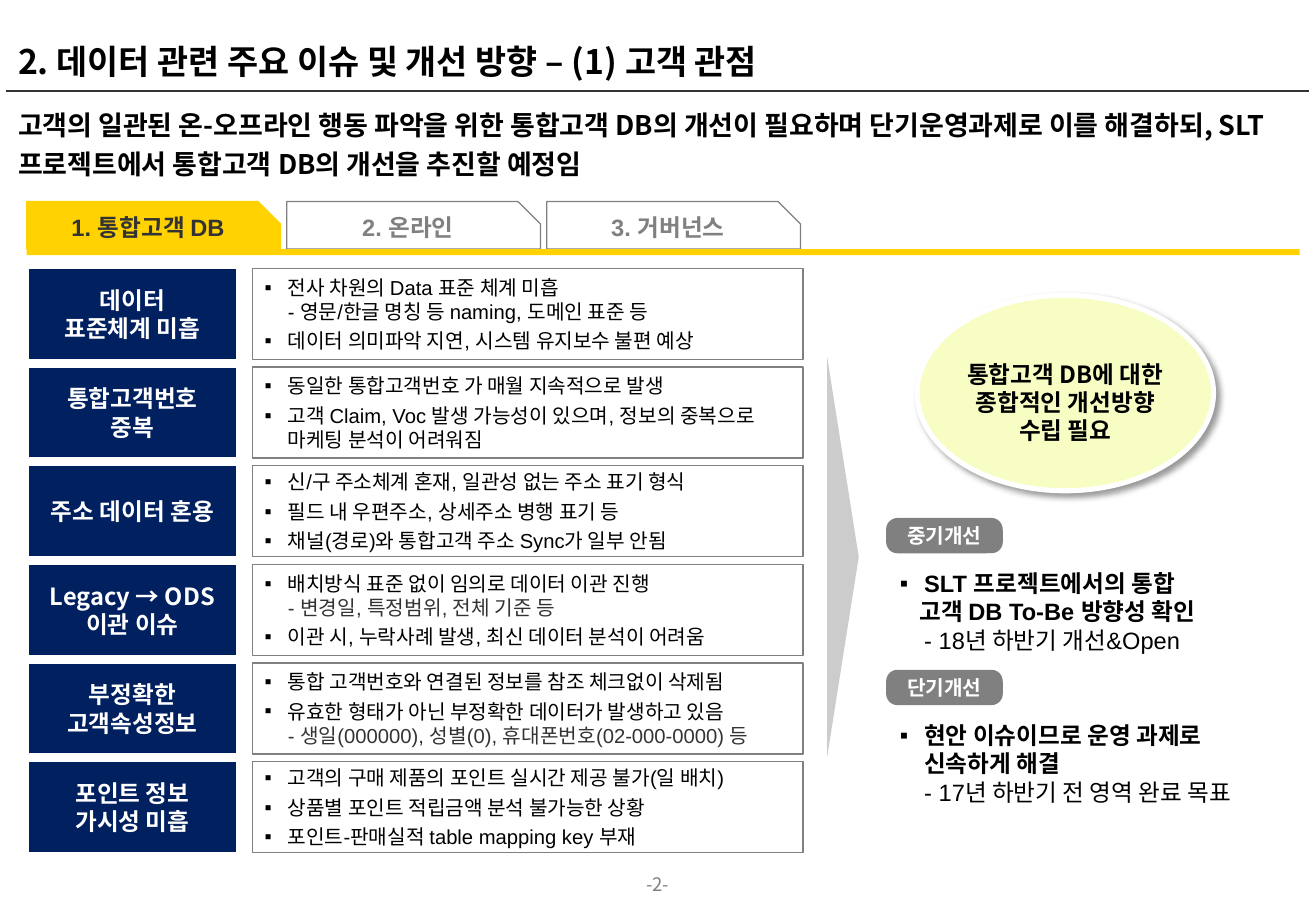
from copy import deepcopy

from lxml.etree import SubElement
from pptx import Presentation
from pptx.dml.color import RGBColor
from pptx.enum.shapes import MSO_CONNECTOR, MSO_SHAPE
from pptx.enum.text import MSO_ANCHOR, PP_ALIGN
from pptx.oxml.ns import qn
from pptx.util import Pt

SANS = "Noto Sans CJK KR"
LATIN = "Arial"
BLACK, DARK, GREY, WHITE = "000000", "333333", "808080", "FFFFFF"
YELLOW, NAVY = "FFD200", "002060"

TABS = [("1. 통합고객 DB", YELLOW, YELLOW, DARK),
        ("2. 온라인", WHITE, GREY, GREY),
        ("3. 거버넌스", WHITE, GREY, GREY)]

ISSUES = [
    (["데이터", "표준체계 미흡"], BLACK,
     ["전사 차원의 Data 표준 체계 미흡\v- 영문/한글 명칭 등 naming, 도메인 표준 등",
      "데이터 의미파악 지연, 시스템 유지보수 불편 예상"]),
    (["통합고객번호", "중복"], BLACK,
     ["동일한 통합고객번호 가 매월 지속적으로 발생",
      "고객 Claim, Voc 발생 가능성이 있으며, 정보의 중복으로 마케팅 분석이 어려워짐"]),
    (["주소 데이터 혼용"], BLACK,
     ["신/구 주소체계 혼재, 일관성 없는 주소 표기 형식",
      "필드 내 우편주소, 상세주소 병행 표기 등",
      "채널(경로)와 통합고객 주소 Sync가 일부 안됨"]),
    (["Legacy → ODS", "이관 이슈"], DARK,
     ["배치방식 표준 없이 임의로 데이터 이관 진행\v- 변경일, 특정범위, 전체 기준 등",
      "이관 시, 누락사례 발생, 최신 데이터 분석이 어려움"]),
    (["부정확한 고객속성정보"], DARK,
     ["통합 고객번호와 연결된 정보를 참조 체크없이 삭제됨",
      "유효한 형태가 아닌 부정확한 데이터가 발생하고 있음\v"
      "- 생일(000000), 성별(0), 휴대폰번호(02-000-0000) 등"]),
    (["포인트 정보", "가시성 미흡"], BLACK,
     ["고객의 구매 제품의 포인트 실시간 제공 불가(일 배치)",
      "상품별 포인트 적립금액 분석 불가능한 상황",
      "포인트-판매실적 table mapping key 부재"]),
]

PLANS = [
    ("중기개선", [("SLT 프로젝트에서의 통합", 14.4, True, True),
               ("고객 DB To-Be 방향성 확인", 11.5, False, True),
               ("- 18년 하반기 개선&Open", 14.4, False, False)]),
    ("단기개선", [("현안 이슈이므로 운영 과제로 신속하게 해결", 14.4, True, True),
               ("- 17년 하반기 전 영역 완료 목표", 14.4, False, False)]),
]


def colour(value):
    return RGBColor.from_string(value)


def add_box(page, kind, box, fill, line=None, width=0.75, adjust=()):
    shape = page.shapes.add_shape(kind, *map(Pt, box))
    shape.shadow.inherit = False
    shape.fill.solid()
    shape.fill.fore_color.rgb = colour(fill)
    if line:
        shape.line.color.rgb = colour(line)
        shape.line.width = Pt(width)
    else:
        shape.line.fill.background()
    for index, value in enumerate(adjust):
        shape.adjustments[index] = value
    return shape


def set_indent(para, left, bullet):
    properties = para._p.get_or_add_pPr()
    properties.set("marL", str(Pt(left)))
    properties.set("indent", str(-Pt(left) if bullet else 0))
    if bullet:
        SubElement(properties, qn("a:buFont")).set("typeface", LATIN)
        SubElement(properties, qn("a:buChar")).set("char", "▪")


def style_para(para, size, font, tint, bold=False, sub_tint=None):
    for index, span in enumerate(para.runs):
        span.font.size = Pt(size)
        span.font.name = font
        span.font.bold = bold
        span.font.color.rgb = colour(sub_tint if index and sub_tint else tint)
        SubElement(span._r.get_or_add_rPr(), qn("a:ea")).set("typeface", SANS)
    for gap in para._p.findall(qn("a:br")):
        gap.insert(0, deepcopy(para.runs[0]._r.rPr))


def write(shape, lines, size, font, tint, bold=False, align=PP_ALIGN.LEFT,
          anchor=MSO_ANCHOR.MIDDLE, insets=(7.2, 3.6, 7.2, 3.6), sub_tint=None):
    frame = shape.text_frame
    frame.word_wrap = True
    frame.vertical_anchor = anchor
    (frame.margin_left, frame.margin_top,
     frame.margin_right, frame.margin_bottom) = map(Pt, insets)
    frame.text = "\n".join(lines)
    for para in frame.paragraphs:
        para.alignment = align
        style_para(para, size, font, tint, bold, sub_tint)
    return frame.paragraphs


def add_text(page, box, *args, **options):
    return write(page.shapes.add_textbox(*map(Pt, box)), *args, **options)


def add_header(page, left, top, width):
    rule = page.shapes.add_connector(MSO_CONNECTOR.STRAIGHT, Pt(left), Pt(top + 50.4),
                                     Pt(left + width), Pt(top + 50.4))
    rule.line.color.rgb = colour(DARK)
    rule.line.width = Pt(1)
    SubElement(rule._element.spPr, qn("a:effectLst"))
    title = add_text(page, (left, top, width, 48.2),
                     ["2. 데이터 관련 주요 이슈 및 개선 방향 – (1) 고객 관점"],
                     20, SANS, BLACK, True, anchor=MSO_ANCHOR.BOTTOM)
    title[0].line_spacing = 0.85
    message = add_text(page, (left, top + 53.3, width, 40.3),
                       ["고객의 일관된 온-오프라인 행동 파악을 위한 통합고객 DB의 개선이 필요하며 "
                        "단기운영과제로 이를 해결하되, SLT 프로젝트에서 통합고객 DB의 개선을 추진할 예정임"],
                       16, SANS, BLACK, True, anchor=MSO_ANCHOR.TOP)
    message[0].line_spacing = 1.2


def add_tabs(page, left, top, width):
    for index, (label, fill, line, tint) in enumerate(TABS):
        tab = add_box(page, MSO_SHAPE.SNIP_1_RECTANGLE,
                      (left + index * 154.1, top, 150.5, 28.1), fill, line, adjust=[0.475])
        write(tab, [label], 14, LATIN, tint, True, PP_ALIGN.CENTER,
              MSO_ANCHOR.TOP, (2.9, 0, 2.9, 5.8))
    add_box(page, MSO_SHAPE.RECTANGLE, (left, top + 28.1, width, 3.6), YELLOW)


def add_issues(page, left, top, width, height):
    row_height = 54
    pitch = (height - row_height) / (len(ISSUES) - 1)
    for index, (label, sub_tint, points) in enumerate(ISSUES):
        row_top = top + index * pitch
        name = add_box(page, MSO_SHAPE.RECTANGLE,
                       (left, row_top, 123.8, row_height), NAVY, WHITE)
        write(name, label, 14, SANS, WHITE, True, PP_ALIGN.CENTER, insets=(2.9,) * 4)
        detail = add_box(page, MSO_SHAPE.RECTANGLE,
                         (left + 133.2, row_top, width - 133.2, row_height), WHITE, GREY)
        for para in write(detail, points, 12, LATIN, BLACK, sub_tint=sub_tint):
            set_indent(para, 13.7, True)
            para.space_after = Pt(3)


def add_conclusion(page, left, top, width, height):
    oval = add_box(page, MSO_SHAPE.OVAL, (left, top, width, height), "F7FDC3", WHITE, 3)
    effects = oval._element.spPr.find(qn("a:effectLst"))
    shadow = SubElement(effects, qn("a:outerShdw"), blurRad=str(Pt(4)), dist=str(Pt(3)),
                        dir="2700000", algn="tl", rotWithShape="0")
    shade = SubElement(shadow, qn("a:srgbClr"), val=BLACK)
    SubElement(shade, qn("a:alpha"), val="40000")
    add_text(page, (left + 15.1, top + 22.3, width - 30.2, 82.1),
             ["통합고객 DB에 대한 종합적인 개선방향 수립 필요"],
             14, SANS, BLACK, True, PP_ALIGN.CENTER, insets=(5.8, 2.9, 5.8, 2.9))


def add_plans(page, left, top, width):
    for index, (label, points) in enumerate(PLANS):
        plan_top = top + index * 90
        badge = add_box(page, MSO_SHAPE.ROUNDED_RECTANGLE, (left, plan_top, 68.4, 20.2),
                        GREY, GREY, adjust=[0.313])
        write(badge, [label], 12, LATIN, WHITE, True, PP_ALIGN.CENTER)
        paras = add_text(page, (left + 0.7, plan_top + 21.6, width, 67),
                         [point[0] for point in points], 14, LATIN, BLACK)
        for para, (_, indent, bullet, bold) in zip(paras, points):
            set_indent(para, indent, bullet)
            para.runs[0].font.bold = bold


def main():
    deck = Presentation()
    deck.slide_width, deck.slide_height = Pt(780), Pt(540)
    page = deck.slides.add_slide(deck.slide_layouts[6])
    add_header(page, 3.6, 3.6, 772.4)
    add_tabs(page, 15.8, 119.5, 754.6)
    add_issues(page, 16.6, 159.1, 459.4, 346.3)
    add_box(page, MSO_SHAPE.RIGHT_ARROW, (490.3, 211.7, 18.7, 236.9), "CCCCCC", adjust=[1, 1])
    add_conclusion(page, 543.6, 175, 175.7, 115.9)
    add_plans(page, 525.6, 307.4, 226.8)
    add_text(page, (359.3, 517.7, 61.2, 15.8), ["-2-"], 11, SANS, GREY,
             align=PP_ALIGN.CENTER, anchor=MSO_ANCHOR.TOP, insets=(0,) * 4)
    deck.save("out.pptx")


if __name__ == "__main__":
    main()
